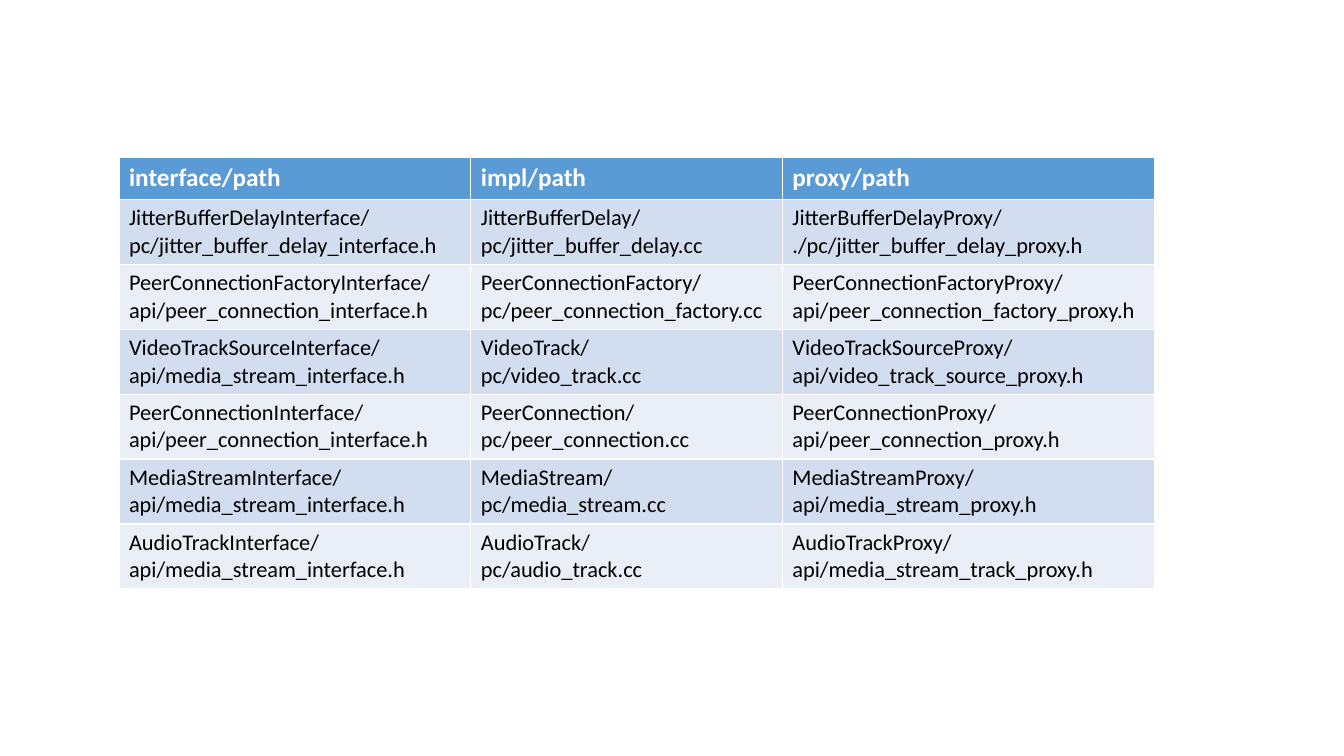
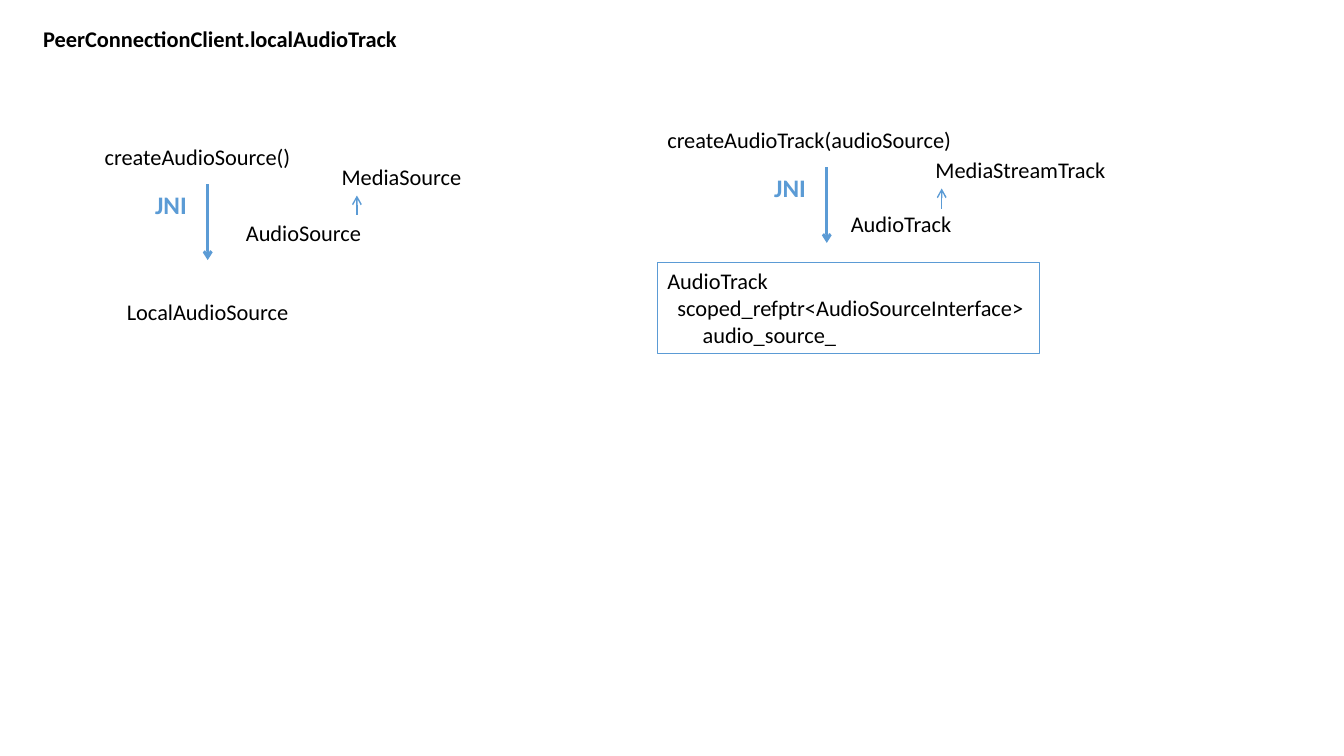
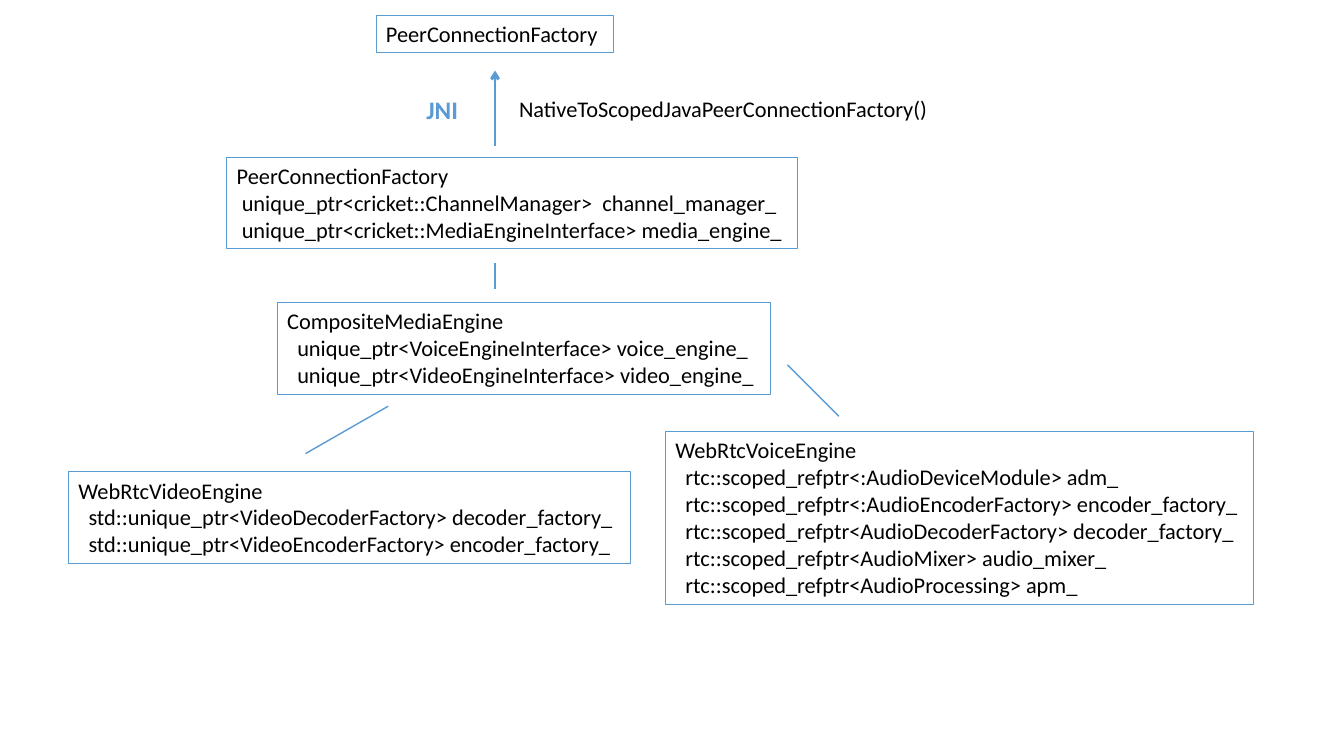
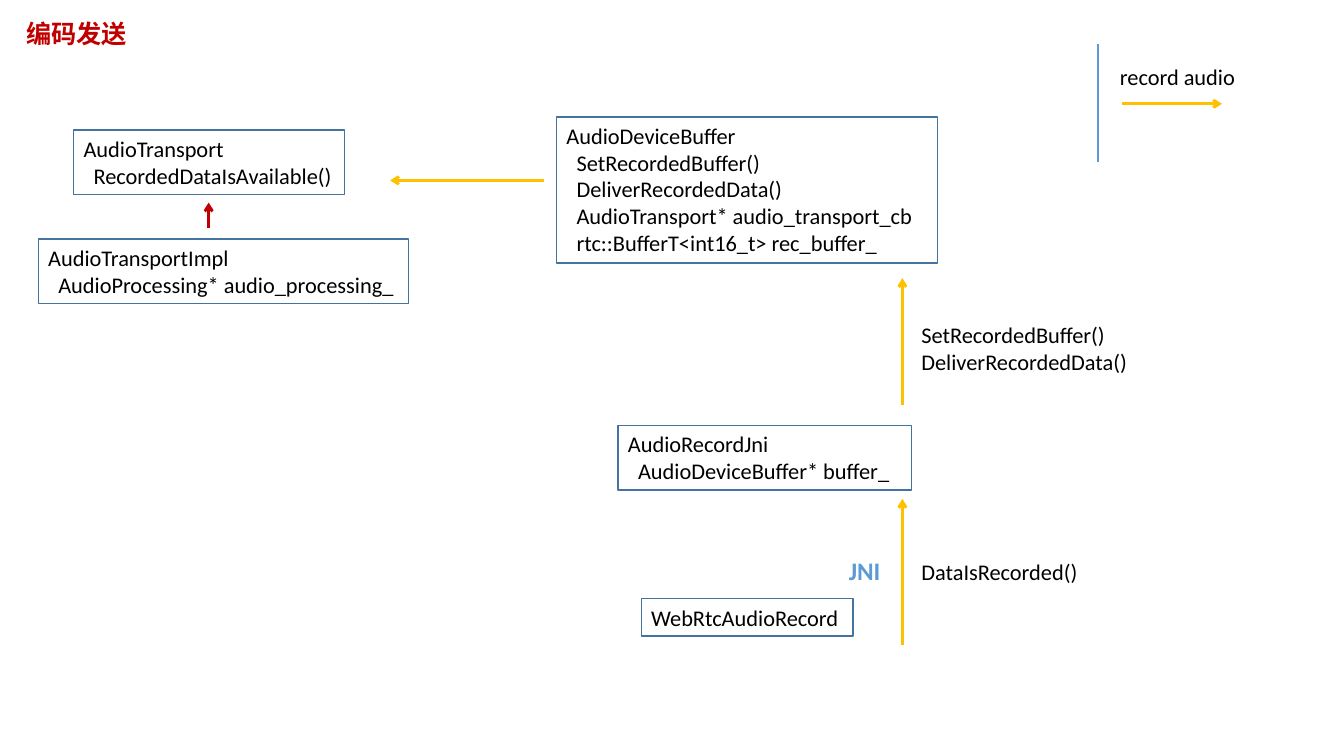
"""Build four slides on peer connection classes and the audio recording path."""
from lxml.etree import SubElement
from pptx import Presentation
from pptx.dml.color import RGBColor
from pptx.enum.shapes import MSO_CONNECTOR, MSO_SHAPE
from pptx.enum.text import MSO_ANCHOR, PP_ALIGN
from pptx.oxml.ns import qn
from pptx.util import Pt

PX = 9144
FONT = "Calibri"
BLACK = RGBColor(0x00, 0x00, 0x00)
WHITE = RGBColor(0xFF, 0xFF, 0xFF)
BLUE = RGBColor(0x5B, 0x9B, 0xD5)
NAVY = RGBColor(0x43, 0x73, 0x9E)
GOLD = RGBColor(0xFF, 0xC0, 0x00)
RED = RGBColor(0xC0, 0x00, 0x00)
BANDS = (RGBColor(0xEA, 0xEF, 0xF7), RGBColor(0xD2, 0xDE, 0xEF))
JNI = {"size": 18, "color": BLUE, "bold": True}
HEADING = {"size": 18, "color": RED, "bold": True}


def write(frame, text, size=16, color=BLACK, bold=False, indents=(0,)):
    """Fill a text frame line by line; the last indent serves all further lines."""
    frame.word_wrap = True
    for number, line in enumerate(text.split("\n")):
        paragraph = frame.add_paragraph() if number else frame.paragraphs[0]
        paragraph.alignment = PP_ALIGN.LEFT
        indent = indents[min(number, len(indents) - 1)]
        if indent:
            paragraph._p.get_or_add_pPr().set("marL", str(indent * PX))
        run = paragraph.add_run()
        run.text = line
        run.font.name = FONT
        run.font.size = Pt(size)
        run.font.bold = bold
        run.font.color.rgb = color


deck = Presentation()
deck.slide_width = 1333 * PX
deck.slide_height = 750 * PX
blank = deck.slide_layouts[6]

class_rows = [
    ("interface/path", "impl/path", "proxy/path"),
    ("JitterBufferDelayInterface/\npc/jitter_buffer_delay_interface.h",
     "JitterBufferDelay/\npc/jitter_buffer_delay.cc",
     "JitterBufferDelayProxy/\n./pc/jitter_buffer_delay_proxy.h"),
    ("PeerConnectionFactoryInterface/\napi/peer_connection_interface.h",
     "PeerConnectionFactory/\npc/peer_connection_factory.cc",
     "PeerConnectionFactoryProxy/\napi/peer_connection_factory_proxy.h"),
    ("VideoTrackSourceInterface/\napi/media_stream_interface.h",
     "VideoTrack/\npc/video_track.cc",
     "VideoTrackSourceProxy/\napi/video_track_source_proxy.h"),
    ("PeerConnectionInterface/\napi/peer_connection_interface.h",
     "PeerConnection/\npc/peer_connection.cc",
     "PeerConnectionProxy/\napi/peer_connection_proxy.h"),
    ("MediaStreamInterface/\napi/media_stream_interface.h",
     "MediaStream/\npc/media_stream.cc",
     "MediaStreamProxy/\napi/media_stream_proxy.h"),
    ("AudioTrackInterface/\napi/media_stream_interface.h",
     "AudioTrack/\npc/audio_track.cc",
     "AudioTrackProxy/\napi/media_stream_track_proxy.h"),
]
column_widths = (349, 309, 369)
class_slide = deck.slides.add_slide(blank)
class_table = class_slide.shapes.add_table(
    len(class_rows), len(column_widths), 118 * PX, 156 * PX, sum(column_widths) * PX, 426 * PX).table
for column, width in zip(class_table.columns, column_widths):
    column.width = width * PX
for number, texts in enumerate(class_rows):
    class_table.rows[number].height = (64 if number else 42) * PX
    for cell, text in zip(class_table.rows[number].cells, texts):
        cell.fill.solid()
        cell.fill.fore_color.rgb = BANDS[number % 2] if number else BLUE
        if number:
            write(cell.text_frame, text)
        else:
            write(cell.text_frame, text, size=18, color=WHITE, bold=True)

track_labels = [
    (33, 20, 382, "PeerConnectionClient.localAudioTrack", {"bold": True}),
    (94, 137, 210, "createAudioSource()", {}),
    (144, 183, 62, "JNI", JNI),
    (234, 213, 142, "AudioSource", {}),
    (329, 157, 151, "MediaSource", {}),
    (116, 291, 206, "LocalAudioSource", {}),
    (652, 120, 311, "createAudioTrack(audioSource)", {}),
    (758, 166, 62, "JNI", JNI),
    (834, 204, 129, "AudioTrack", {}),
    (918, 150, 199, "MediaStreamTrack", {}),
]
track_boxes = [
    (652, 260, 379, "AudioTrack\nscoped_refptr<AudioSourceInterface>\naudio_source_", (0, 10, 35)),
]
track_lines = [
    (206, 183, 206, 258, BLUE, 2, True),
    (354, 213, 354, 194, BLUE, 1, True),
    (820, 166, 820, 241, BLUE, 2, True),
    (934, 207, 934, 187, BLUE, 1, True),
]

factory_labels = [
    (505, 89, 431, "NativeToScopedJavaPeerConnectionFactory()", {}),
    (413, 89, 62, "JNI", JNI),
]
factory_boxes = [
    (373, 15, 236, "PeerConnectionFactory", (0,)),
    (225, 156, 566, "PeerConnectionFactory\n"
     "unique_ptr<cricket::ChannelManager>  channel_manager_\n"
     "unique_ptr<cricket::MediaEngineInterface> media_engine_", (0, 5)),
    (275, 300, 489, "CompositeMediaEngine\n"
     "unique_ptr<VoiceEngineInterface> voice_engine_\n"
     "unique_ptr<VideoEngineInterface> video_engine_", (0, 10)),
    (68, 468, 557, "WebRtcVideoEngine\n"
     "std::unique_ptr<VideoDecoderFactory> decoder_factory_\n"
     "std::unique_ptr<VideoEncoderFactory> encoder_factory_", (0, 10)),
    (660, 428, 583, "WebRtcVoiceEngine\n"
     "rtc::scoped_refptr<:AudioDeviceModule> adm_\n"
     "rtc::scoped_refptr<:AudioEncoderFactory> encoder_factory_\n"
     "rtc::scoped_refptr<AudioDecoderFactory> decoder_factory_\n"
     "rtc::scoped_refptr<AudioMixer> audio_mixer_\n"
     "rtc::scoped_refptr<AudioProcessing> apm_", (0, 10)),
]
factory_lines = [
    (491, 145, 491, 70, BLUE, 2, True),
    (491, 261, 491, 287, BLUE, 1, False),
    (385, 403, 303, 450, BLUE, 1, False),
    (781, 362, 832, 413, BLUE, 1, False),
]

sending_labels = [
    (16, 13, 123, "编码发送", HEADING),
    (1101, 58, 144, "record audio", {}),
    (904, 314, 231, "SetRecordedBuffer()\nDeliverRecordedData()", {}),
    (904, 549, 185, "DataIsRecorded()", {}),
    (832, 546, 57, "JNI", JNI),
]
sending_boxes = [
    (73, 129, 269, "AudioTransport\nRecordedDataIsAvailable()", (0, 10)),
    (38, 237, 367, "AudioTransportImpl\nAudioProcessing* audio_processing_", (0, 10)),
    (552, 116, 378, "AudioDeviceBuffer\nSetRecordedBuffer()\nDeliverRecordedData()\n"
     "AudioTransport* audio_transport_cb\nrtc::BufferT<int16_t> rec_buffer_", (0, 10)),
    (613, 422, 291, "AudioRecordJni\nAudioDeviceBuffer* buffer_", (0, 10)),
    (636, 594, 210, "WebRtcAudioRecord", (0,)),
]
sending_lines = [
    (1089, 44, 1089, 161, BLUE, 2, False),
    (1113, 103, 1212, 103, GOLD, 2, True),
    (895, 640, 895, 495, GOLD, 2, True),
    (895, 402, 895, 276, GOLD, 2, True),
    (540, 179, 387, 179, GOLD, 2, True),
    (207, 226, 207, 201, RED, 2, True),
]

diagrams = [
    (track_labels, track_boxes, track_lines, BLUE, 0.75),
    (factory_labels, factory_boxes, factory_lines, BLUE, 0.75),
    (sending_labels, sending_boxes, sending_lines, NAVY, 1),
]
for labels, class_boxes, lines, border_color, border_width in diagrams:
    shapes = deck.slides.add_slide(blank).shapes

    for left, top, width, text, style in labels:
        line_height = 30 if style.get("size") == 18 else 27
        height = 10 + line_height * len(text.split("\n"))
        label = shapes.add_textbox(left * PX, top * PX, width * PX, height * PX)
        write(label.text_frame, text, **style)

    for left, top, width, text, indents in class_boxes:
        height = 10 + 27 * len(text.split("\n"))
        class_box = shapes.add_shape(
            MSO_SHAPE.RECTANGLE, left * PX, top * PX, width * PX, height * PX)
        class_box.shadow.inherit = False
        class_box.fill.background()
        class_box.line.color.rgb = border_color
        class_box.line.width = Pt(border_width)
        class_box.text_frame.vertical_anchor = MSO_ANCHOR.TOP
        write(class_box.text_frame, text, indents=indents)

    for x1, y1, x2, y2, color, weight, has_head in lines:
        link = shapes.add_connector(MSO_CONNECTOR.STRAIGHT, x1 * PX, y1 * PX, x2 * PX, y2 * PX)
        link.line.color.rgb = color
        link.line.width = Pt(weight)
        if has_head:
            SubElement(link.line._get_or_add_ln(), qn("a:tailEnd"), type="arrow")
        SubElement(link._element.spPr, qn("a:effectLst"))

deck.save("out.pptx")
